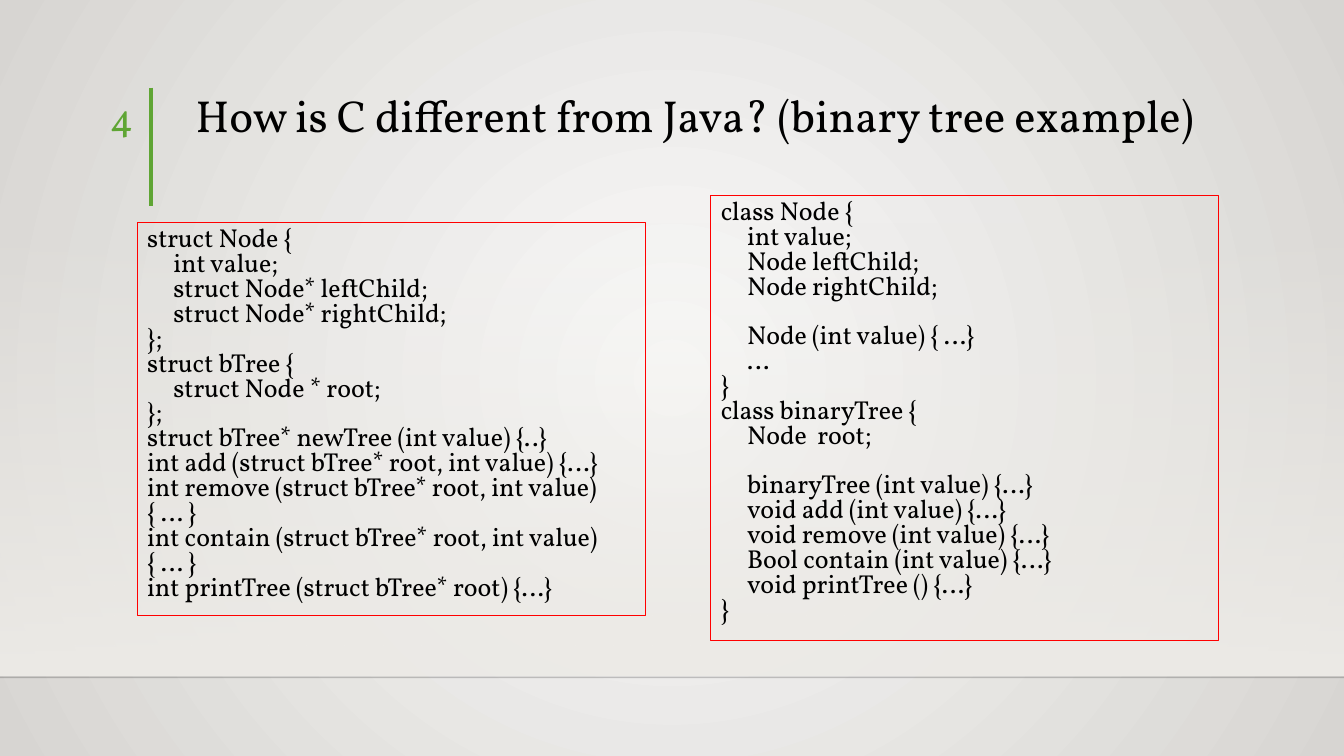
from pptx import Presentation
from pptx import util as u
from pptx.dml.color import RGBColor
from pptx.enum import shapes, text
from pptx.oxml import parse_xml
from pptx.oxml.ns import nsdecls, qn
from lxml import etree

HUE = {"ink": "000000", "green": "5FA534", "red": "FF0000", "rule": "000001",
       "pale": "FAFAF9", "grey": "D7D5D2", "band": "EDEBE7"}
HUE = {key: RGBColor.from_string(val) for key, val in HUE.items()}
FONT = "Vollkorn"
SIZE = 18.5
LINE = 17.7  # height of one code line in points


def place(shape, *box):
    shape.left, shape.top, shape.width, shape.height = map(u.Inches, box)


def write(par, words, size, hue="ink"):
    run = par.add_run()
    run.text = words
    run.font.name, run.font.size = FONT, u.Pt(size)
    run.font.color.rgb = HUE[hue]


deck = Presentation()
deck.slide_width, deck.slide_height = u.Inches(13.33), u.Inches(7.5)
slide = deck.slides.add_slide(deck.slide_layouts[3])

# Background: light centre, darker rim
back = slide.background.fill
back.gradient()
for stop, key in zip(back.gradient_stops, ("pale", "grey")):
    stop.color.rgb = HUE[key]
lin = slide.background._cSld.find(".//" + qn("a:lin"))
lin.getparent().replace(lin, parse_xml(
    f'<a:path {nsdecls("a")} path="circle">'
    '<a:fillToRect l="50000" t="50000" r="50000" b="50000"/></a:path>'))

# Band that fades in downwards, kept behind the text
band = slide.shapes.add_shape(shapes.MSO_SHAPE.RECTANGLE, 0, u.Inches(2.2),
                              deck.slide_width, u.Inches(4.5))
band.shadow.inherit = False
band.line.fill.background()
band.fill.gradient()
for stop in band.fill.gradient_stops:
    stop.color.rgb = HUE["band"]
props = band._element.spPr
props.find(".//" + qn("a:lin")).set("ang", "5400000")
clear = props.find(".//" + qn("a:srgbClr"))
etree.SubElement(clear, qn("a:alpha")).set("val", "0")
band._element.getparent().insert(2, band._element)

# Floor line and green bar
for x1, y1, x2, y2, key, wide in ((0, 6.72, 13.33, 6.72, "rule", 1),
                                  (1.5, 0.87, 1.5, 2.04, "green", 3)):
    rule = slide.shapes.add_connector(shapes.MSO_CONNECTOR.STRAIGHT,
                                      *map(u.Inches, (x1, y1, x2, y2)))
    rule.line.color.rgb, rule.line.width = HUE[key], u.Pt(wide)
    props = rule._element.spPr
    etree.SubElement(props, qn("a:effectLst"))
    if key == "rule":
        tint = props.find(".//" + qn("a:srgbClr"))
        etree.SubElement(tint, qn("a:alpha")).set("val", "20000")

# Title
title = slide.shapes.title
place(title, 1.84, 0.3, 10.41, 1.16)
frame = title.text_frame
frame.auto_size = text.MSO_AUTO_SIZE.NONE
frame.vertical_anchor = text.MSO_ANCHOR.BOTTOM
par = frame.paragraphs[0]
par.alignment, par.line_spacing = text.PP_ALIGN.LEFT, 0.9
write(par, "How is C different from Java? (binary tree example)", 32)

# Code: a leading ">" indents a line, "+" leaves a gap above it
C_CODE = """struct Node {
>int value;
>struct Node* leftChild;
>struct Node* rightChild;
};
struct bTree {
>struct Node * root;
};
struct bTree* newTree (int value) {..}
int add (struct bTree* root, int value) {…}
int remove (struct bTree* root, int value) { … }
int contain (struct bTree* root, int value) { … }
int printTree (struct bTree* root) {…}"""
JAVA_CODE = """class Node {
>int value;
>Node leftChild;
>Node rightChild;
+>Node (int value) { …}
>…
}
class binaryTree {
>Node  root;
+>binaryTree (int value) {…}
>void add (int value) {…}
>void remove (int value) {…}
>Bool contain (int value) {…}
>void printTree () {…}
}"""
for spot, box, code in ((1, (1.36, 2.21, 5.04, 3.9), C_CODE),
                        (2, (7.05, 1.94, 5.04, 4.41), JAVA_CODE)):
    body = slide.placeholders[spot]
    place(body, *box)
    body.line.color.rgb, body.line.width = HUE["red"], u.Pt(0.75)
    frame = body.text_frame
    frame.auto_size = text.MSO_AUTO_SIZE.NONE
    for num, row in enumerate(code.split("\n")):
        par = frame.add_paragraph() if num else frame.paragraphs[0]
        par.line_spacing = 0.8
        par.space_before = u.Pt(LINE if row.startswith("+") else 0)
        par.space_after = u.Pt(0)
        form = par._p.get_or_add_pPr()
        form.set("marL", str(u.Inches(0.26 if ">" in row[:2] else 0)))
        form.set("indent", "0")
        etree.SubElement(form, qn("a:buNone"))
        write(par, row.lstrip("+>"), SIZE)

# Page number
page = slide.shapes.add_textbox(0, 0, 0, 0)
place(page, 0.53, 0.87, 0.89, 0.55)
page.text_frame.word_wrap = True
par = page.text_frame.paragraphs[0]
par.alignment = text.PP_ALIGN.RIGHT
write(par, "4", 28, "green")

deck.save("out.pptx")
